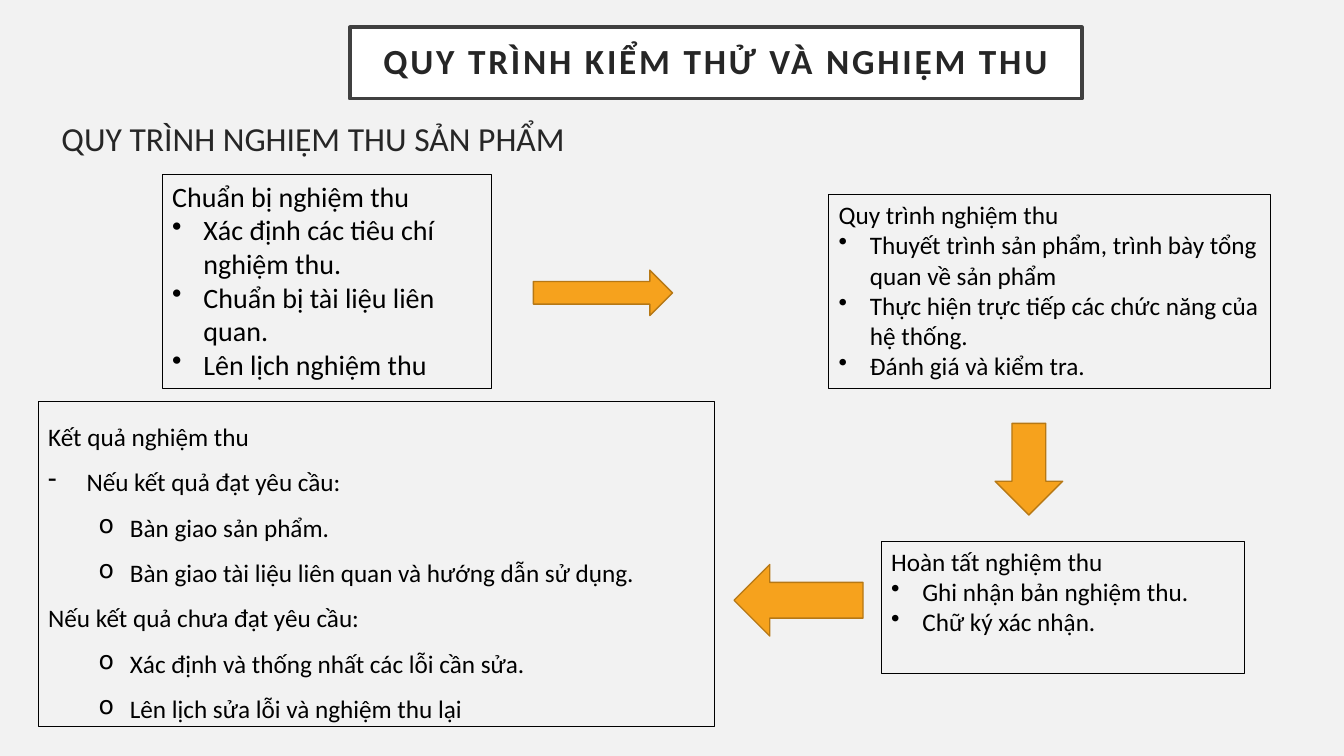
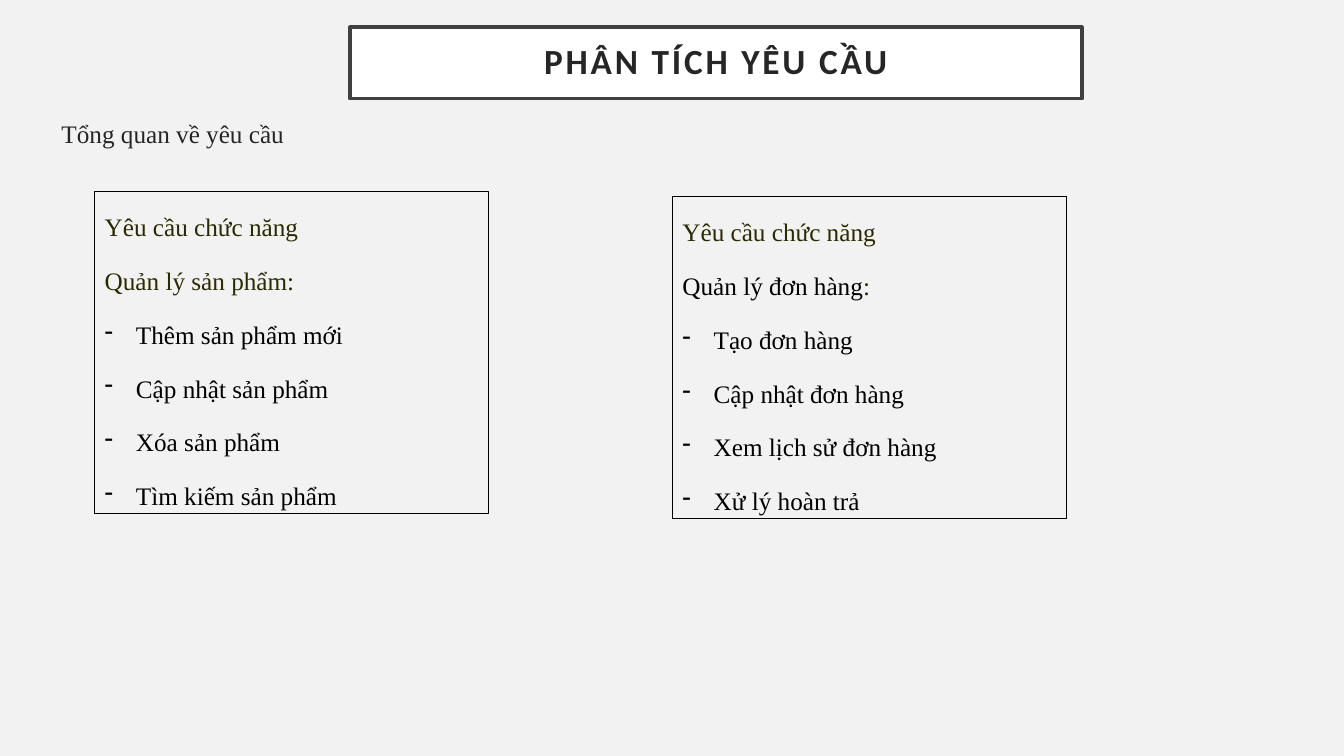
from dataclasses import dataclass

import pptx
import pptx.util
from lxml import etree
from pptx.dml.color import RGBColor
from pptx.enum.shapes import MSO_SHAPE
from pptx.enum.text import MSO_ANCHOR, MSO_AUTO_SIZE, PP_ALIGN
from pptx.oxml.ns import qn
from pptx.util import Inches


@dataclass(frozen=True)
class Theme:
    background: str = "F2F2F2"
    panel: str = "FFFFFF"
    panel_line: str = "404040"
    heading: str = "262626"
    text: str = "000000"
    olive: str = "2B2B00"
    arrow: str = "F6A21D"
    arrow_line: str = "B67815"
    sans: str = "Calibri"
    serif: str = "Times New Roman"
    title_size: float = 25.2
    subtitle_size: float = 24
    large_size: float = 20
    text_size: float = 18


THEME = Theme()

# Paragraph kinds: bullet, left margin, hanging indent, level
PLAIN = (None, 0, 0, 0)
DOT = ("•", 0.31, -0.31, 0)
DASH = ("-", 0.31, -0.31, 0)
WIDE_DASH = ("-", 0.38, -0.38, 0)
CIRCLE = ("o", 0.81, -0.31, 1)


class Deck:
    def __init__(self, theme):
        self.theme = theme
        self.prs = pptx.Presentation()
        self.prs.slide_width = Inches(13.33)
        self.prs.slide_height = Inches(7.5)
        self.fill(self.prs.slide_master.background, theme.background)
        self.s = None

    def fill(self, target, color):
        target.fill.solid()
        target.fill.fore_color.rgb = RGBColor.from_string(color)

    def outline(self, sp, color, width):
        sp.line.color.rgb = RGBColor.from_string(color)
        sp.line.width = pptx.util.Pt(width)

    def place(self, sp, left, top, width, height):
        sp.left, sp.top = Inches(left), Inches(top)
        sp.width, sp.height = Inches(width), Inches(height)

    def run(self, p, text, size, font, color):
        r = p.add_run()
        r.text = text
        r.font.size = pptx.util.Pt(size)
        r.font.name = font
        r.font.color.rgb = RGBColor.from_string(color)
        return r

    def format_paragraph(self, p, kind):
        """Set the level, the indent and the bullet."""
        bullet, margin, indent, level = kind
        p.level = level
        pPr = p._p.get_or_add_pPr()
        pPr.set("marL", str(Inches(margin)))
        pPr.set("indent", str(Inches(indent)))
        if bullet:
            etree.SubElement(pPr, qn("a:buChar")).set("char", bullet)
        else:
            etree.SubElement(pPr, qn("a:buNone"))

    def slide(self, title, subtitle, subtitle_size, subtitle_font):
        self.s = self.prs.slides.add_slide(self.prs.slide_layouts[1])
        self.title(title)
        self.subtitle(subtitle, subtitle_size, subtitle_font)

    def title(self, text):
        t = self.theme
        sp = self.s.shapes.title
        self.place(sp, 3.47, 0.27, 7.26, 0.71)
        self.fill(sp, t.panel)
        self.outline(sp, t.panel_line, 2.5)
        tf = sp.text_frame
        tf.auto_size = MSO_AUTO_SIZE.NONE
        tf.vertical_anchor = MSO_ANCHOR.MIDDLE
        tf.margin_left = tf.margin_right = Inches(0.2)
        tf.margin_top = tf.margin_bottom = Inches(0.2)
        p = tf.paragraphs[0]
        p.alignment = PP_ALIGN.CENTER
        p.line_spacing = 0.9
        r = self.run(p, text, t.title_size, t.sans, t.heading)
        r.font.bold = True
        r.font._element.set("spc", "200")

    def subtitle(self, text, size, font):
        sp = self.s.placeholders[1]
        self.place(sp, 0.51, 1.12, 5.47, 0.71)
        tf = sp.text_frame
        tf.auto_size = MSO_AUTO_SIZE.NONE
        p = tf.paragraphs[0]
        p.space_before = pptx.util.Pt(10)
        self.format_paragraph(p, PLAIN)
        self.run(p, text, size, font, self.theme.heading)

    def box(self, at, lines, size, font, spacing=None, before=0):
        """Draw a framed text; each line is a kind and its (text, color) runs."""
        sp = self.s.shapes.add_textbox(*map(Inches, at))
        self.outline(sp, self.theme.text, 0.75)
        tf = sp.text_frame
        tf.word_wrap = True
        tf.auto_size = MSO_AUTO_SIZE.NONE
        for i, (kind, *runs) in enumerate(lines):
            p = tf.add_paragraph() if i else tf.paragraphs[0]
            if spacing:
                p.alignment = PP_ALIGN.JUSTIFY
                p.line_spacing = spacing
                p.space_before = pptx.util.Pt(before)
            self.format_paragraph(p, kind)
            for text, color in runs:
                self.run(p, text, size, font, color)

    def arrow(self, shape, *at):
        sp = self.s.shapes.add_shape(shape, *map(Inches, at))
        sp.shadow.inherit = False
        self.fill(sp, self.theme.arrow)
        self.outline(sp, self.theme.arrow_line, 1)


def listed(kind, *texts):
    return [(kind, (text, THEME.text)) for text in texts]


def acceptance_slide(deck):
    t = deck.theme
    deck.slide("QUY TRÌNH KIỂM THỬ VÀ NGHIỆM THU",
               "QUY TRÌNH NGHIỆM THU SẢN PHẨM", t.subtitle_size, t.sans)
    steps = [
        ((1.61, 1.73, 3.27, 2.12), t.large_size, "Chuẩn bị nghiệm thu",
         ["Xác định các tiêu chí nghiệm thu.",
          "Chuẩn bị tài liệu liên quan.",
          "Lên lịch nghiệm thu"]),
        ((8.22, 1.93, 4.38, 1.92), t.text_size, "Quy trình nghiệm thu",
         ["Thuyết trình sản phẩm, trình bày tổng quan về sản phẩm",
          "Thực hiện trực tiếp các chức năng của hệ thống.",
          "Đánh giá và kiểm tra."]),
        ((8.74, 5.37, 3.6, 1.31), t.text_size, "Hoàn tất nghiệm thu",
         ["Ghi nhận bản nghiệm thu.", "Chữ ký xác nhận."]),
    ]
    for at, size, heading, items in steps:
        deck.box(at, listed(PLAIN, heading) + listed(DOT, *items), size, t.sans)

    results = (
        listed(PLAIN, "Kết quả nghiệm thu")
        + listed(WIDE_DASH, "Nếu kết quả đạt yêu cầu:")
        + listed(CIRCLE, "Bàn giao sản phẩm.",
                 "Bàn giao tài liệu liên quan và hướng dẫn sử dụng.")
        + listed(PLAIN, "Nếu kết quả chưa đạt yêu cầu:")
        + listed(CIRCLE, "Xác định và thống nhất các lỗi cần sửa.",
                 "Lên lịch sửa lỗi và nghiệm thu lại")
    )
    deck.box((0.38, 3.98, 6.71, 3.23), results, t.text_size, t.sans, spacing=1.5)

    deck.arrow(MSO_SHAPE.RIGHT_ARROW, 5.29, 2.68, 1.38, 0.45)
    deck.arrow(MSO_SHAPE.DOWN_ARROW, 9.87, 4.2, 0.67, 0.91)
    deck.arrow(MSO_SHAPE.LEFT_ARROW, 7.28, 5.6, 1.28, 0.71)


def requirements_slide(deck):
    t = deck.theme
    deck.slide("PHÂN TÍCH YÊU CẦU", "Tổng quan về yêu cầu", t.text_size, t.serif)
    groups = [
        (0.94, 1.9, [("Quản lý sản phẩm:", t.olive)],
         ["Thêm sản phẩm mới", "Cập nhật sản phẩm",
          "Xóa sản phẩm", "Tìm kiếm sản phẩm"]),
        (6.67, 1.95, [("Quản lý đơn hàng", t.text), (":", t.olive)],
         ["Tạo đơn hàng", "Cập nhật đơn hàng",
          "Xem lịch sử đơn hàng", "Xử lý hoàn trả"]),
    ]
    for left, top, group, items in groups:
        lines = [(PLAIN, ("Yêu cầu chức năng", t.olive)), (PLAIN, *group)]
        deck.box((left, top, 3.91, 3.19), lines + listed(DASH, *items),
                 t.text_size, t.serif, spacing=1.5, before=6)


def main():
    deck = Deck(THEME)
    acceptance_slide(deck)
    requirements_slide(deck)
    deck.prs.save("out.pptx")


if __name__ == "__main__":
    main()
